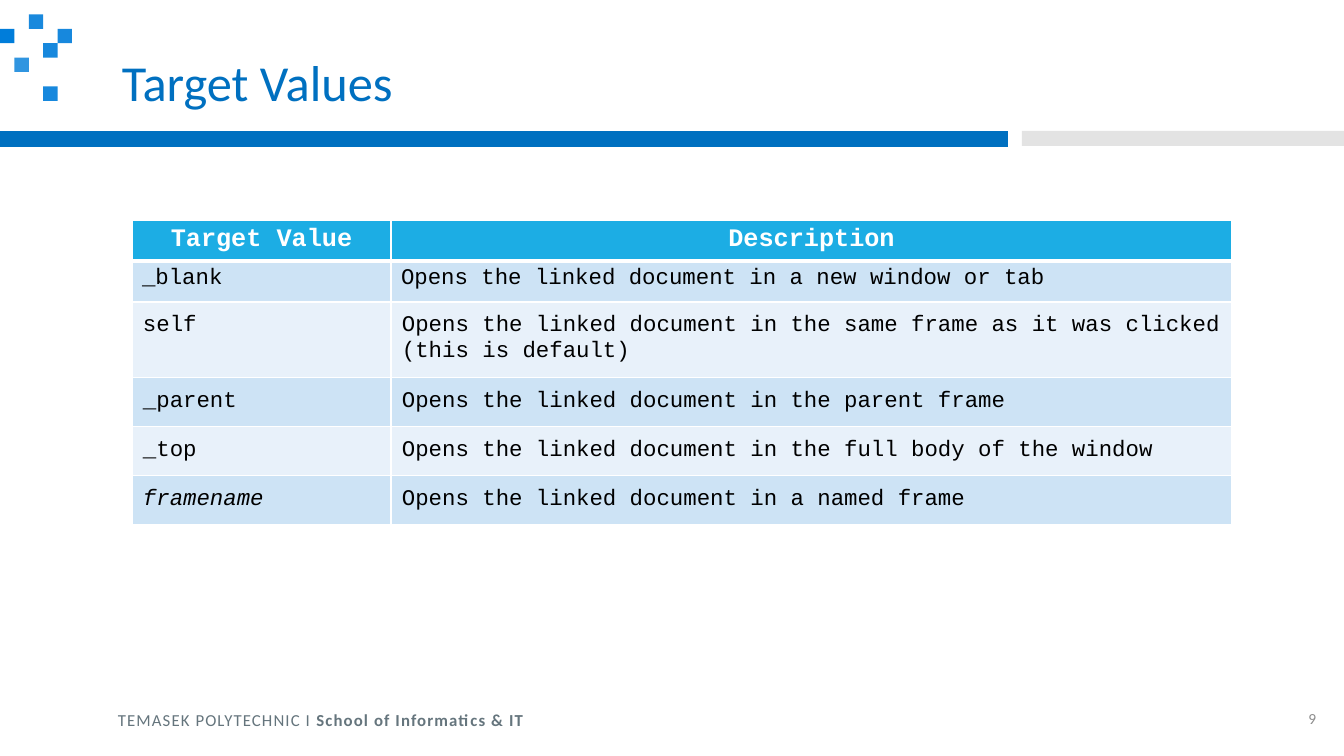
from lxml import etree
from pptx import Presentation
from pptx.dml.color import RGBColor
from pptx.enum.shapes import MSO_SHAPE
from pptx.enum.text import MSO_ANCHOR as Anchor, PP_ALIGN as Align
from pptx.oxml.ns import qn
from pptx.util import Emu, Pt

# Content
TITLE = "Target Values"
FOOTER = [("TEMASEK POLYTECHNIC I ", False), ("School of Informatics & IT", True)]
PAGE_NUMBER = "9"
ROWS = [
    ("Target Value", "Description"),
    ("_blank", "Opens the linked document in a new window or tab"),
    ("self", "Opens the linked document in the same frame as it was clicked (this is default)"),
    ("_parent", "Opens the linked document in the parent frame"),
    ("_top", "Opens the linked document in the full body of the window"),
    ("framename", "Opens the linked document in a named frame"),
]
ITALIC_NAME = "framename"

# Layout in px, colours and fonts
SCALE = 914400 / 100.8
COLUMN_WIDTHS = [259, 841]
ROW_HEIGHTS = [41, 41, 73, 47, 48, 48]
TABLE_LEFT, TABLE_TOP = 132, 220
BARS = [((0, 131, 1008, 16), "0070C0", 100), ((1022, 131, 322, 15), "C8C8C8", 50)]
SQUARES = [(2, 1, 90), (1, 4, 81), (0, 2, 100), (4, 2, 91), (3, 3, 91), (3, 6, 91)]
SQUARE_SIDE = 72 / 5
HEADER_FILL, BAND_FILLS = "1CADE4", ["E8F1FA", "CDE3F5"]
WHITE, BLACK, BLUE = "FFFFFF", "000000", "0070C0"
SANS, MONO = "Calibri", "Courier New"


def px(value):
    return Emu(round(value * SCALE))


def colour(value):
    return RGBColor.from_string(value)


def add_span(para, text, hue, **formats):
    span = para.add_run()
    span.text = text
    for name, value in formats.items():
        setattr(span.font, name, value)
    span.font.color.rgb = colour(hue)
    return span


def add_block(page, place, hue, opacity):
    block = page.shapes.add_shape(MSO_SHAPE.RECTANGLE, *map(px, place))
    block.shadow.inherit = False
    block.line.fill.background()
    block.fill.solid()
    block.fill.fore_color.rgb = colour(hue)
    if opacity < 100:
        tint = block.fill._xPr.find(".//" + qn("a:srgbClr"))
        etree.SubElement(tint, qn("a:alpha"), val=str(opacity * 1000))


def add_box(page, place, anchor, align):
    box = page.shapes.add_textbox(*map(px, place))
    frame = box.text_frame
    frame.word_wrap = True
    frame.vertical_anchor = anchor
    para = frame.paragraphs[0]
    para.alignment = align
    return para


def add_borders(cell, widths):
    props = cell._tc.get_or_add_tcPr()
    for index, (side, width) in enumerate(widths.items()):
        line = etree.Element(qn("a:ln" + side), w=str(Pt(width)))
        fill = etree.SubElement(line, qn("a:solidFill"))
        etree.SubElement(fill, qn("a:srgbClr"), val=WHITE)
        props.insert(index, line)


def fill_cell(cell, text, row):
    header = row == 0
    cell.fill.solid()
    cell.fill.fore_color.rgb = colour(HEADER_FILL if header else BAND_FILLS[row % 2])
    add_borders(cell, {"L": 1, "R": 1, "T": 3 if row == 1 else 1, "B": 3 if header else 1})
    if row > 1:
        for side in ("left", "right", "top", "bottom"):
            setattr(cell, "margin_" + side, px(11))
    para = cell.text_frame.paragraphs[0]
    para.alignment = Align.CENTER if header else Align.LEFT
    add_span(para, text, WHITE if header else BLACK, name=MONO,
             size=Pt(18 if header else 16), bold=header, italic=text == ITALIC_NAME)


def add_target_table(page):
    table = page.shapes.add_table(
        len(ROWS), len(COLUMN_WIDTHS), px(TABLE_LEFT), px(TABLE_TOP),
        px(sum(COLUMN_WIDTHS)), px(sum(ROW_HEIGHTS))).table
    for column, width in zip(table.columns, COLUMN_WIDTHS):
        column.width = px(width)
    for row, texts in enumerate(ROWS):
        table.rows[row].height = px(ROW_HEIGHTS[row])
        for column, text in enumerate(texts):
            fill_cell(table.cell(row, column), text, row)


def main():
    deck = Presentation()
    deck.slide_width, deck.slide_height = px(1344), px(756)
    page = deck.slides.add_slide(deck.slide_layouts[6])

    # Bars and corner squares
    for place, hue, opacity in BARS:
        add_block(page, place, hue, opacity)
    for column, row, opacity in SQUARES:
        place = (column * SQUARE_SIDE, row * SQUARE_SIDE, SQUARE_SIDE, SQUARE_SIDE)
        add_block(page, place, "007DDA", opacity)

    # Title
    para = add_box(page, (112, 40, 1139, 91), Anchor.MIDDLE, Align.LEFT)
    para.line_spacing = 0.9
    add_span(para, TITLE, BLUE, name=SANS, size=Pt(36))

    add_target_table(page)

    # Footer and page number
    para = add_box(page, (108, 705, 1167, 30), Anchor.TOP, Align.LEFT)
    for text, bold in FOOTER:
        span = add_span(para, text, "65757D", name=SANS, size=Pt(12), bold=bold)
        span.font._element.set("spc", "80")
    para = add_box(page, (1275, 701, 51, 34), Anchor.MIDDLE, Align.RIGHT)
    add_span(para, PAGE_NUMBER, "8C8C8C", name=SANS, size=Pt(11))

    deck.save("out.pptx")


if __name__ == "__main__":
    main()
